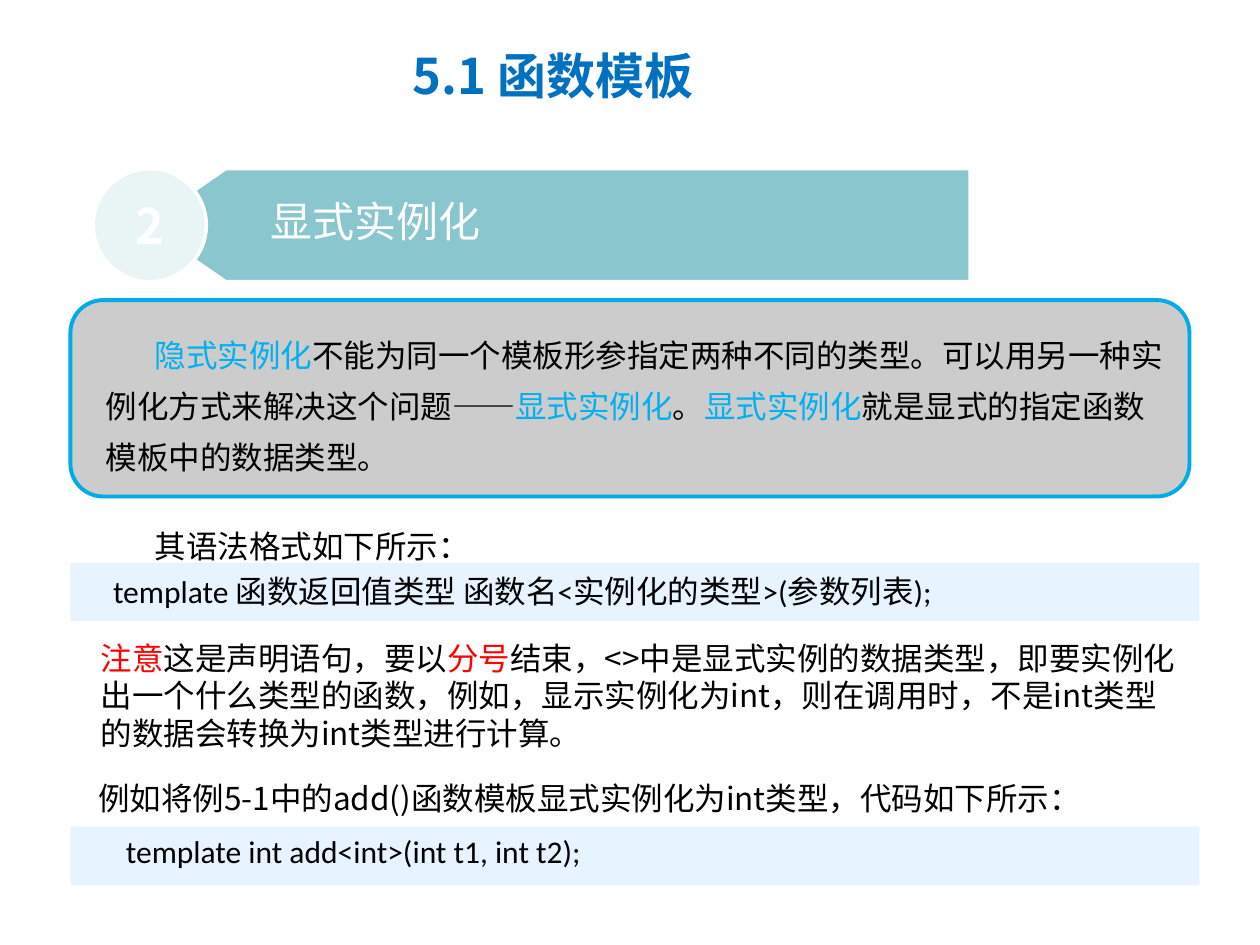
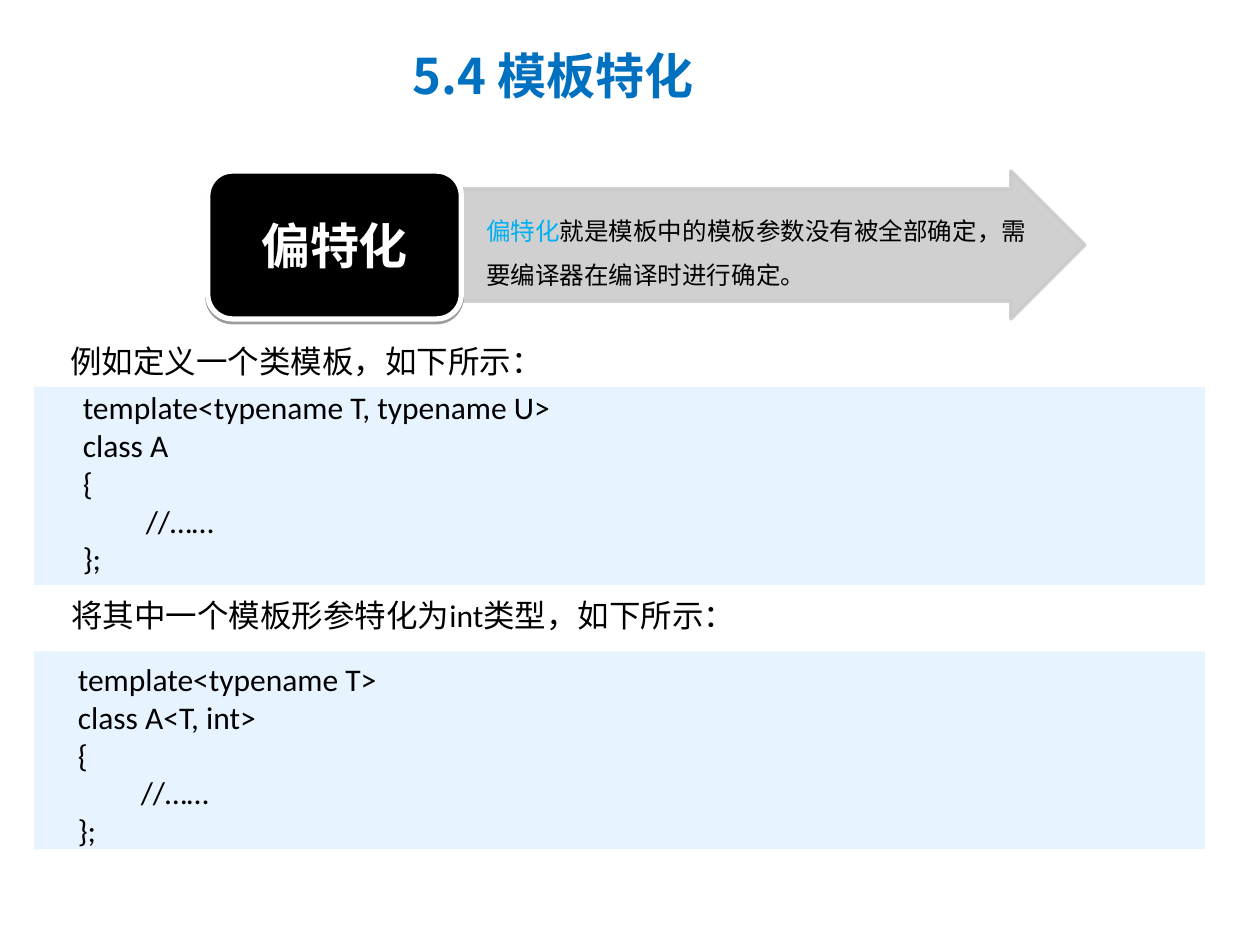
from lxml import etree
from pptx import Presentation
from pptx.dml.color import RGBColor
from pptx.enum.shapes import MSO_SHAPE
from pptx.enum.text import MSO_ANCHOR, PP_ALIGN
from pptx.oxml.ns import qn
from pptx.util import Cm, Pt

RECT, OVAL = MSO_SHAPE.RECTANGLE, MSO_SHAPE.OVAL
ROUND, ARROW = MSO_SHAPE.ROUNDED_RECTANGLE, MSO_SHAPE.RIGHT_ARROW
MIDDLE, TOP = MSO_ANCHOR.MIDDLE, MSO_ANCHOR.TOP
LEFT, CENTER = PP_ALIGN.LEFT, PP_ALIGN.CENTER

SANS, LATIN = "Noto Sans CJK SC", "Calibri"
BLACK, WHITE, RED = "000000", "FFFFFF", "FF0000"
TITLE, CYAN, EDGE = "0070C0", "00B0F0", "00ACE6"
BAND, GREY, SILVER = "E7F4FF", "CCCCCC", "CBCBCB"
TEAL, PALE = "8AC6CD", "E9F4F5"


def rgb(code):
    return RGBColor.from_string(code)


def write(frame, paras, size=18, color=BLACK, font=SANS, bold=False,
          align=LEFT, anchor=TOP, spacing=1, indent=0):
    """Fill a frame; each paragraph is a list of (text, colour) runs."""
    frame.word_wrap = True
    frame.vertical_anchor = anchor
    for i, runs in enumerate(paras):
        para = frame.paragraphs[0] if i == 0 else frame.add_paragraph()
        para.alignment = align
        para.line_spacing = spacing
        if indent:
            para._p.get_or_add_pPr().set("indent", str(Cm(indent)))
        for text, tint in runs:
            run = para.add_run()
            run.text = text
            run.font.size, run.font.bold = Pt(size), bold
            run.font.name = font
            run.font.color.rgb = rgb(tint or color)
            east = etree.SubElement(run._r.get_or_add_rPr(), qn("a:ea"))
            east.set("typeface", SANS)


def plain(text):
    return [[(line, None)] for line in text.split("\n")]


def label(slide, box, paras, **style):
    area = slide.shapes.add_textbox(*map(Cm, box))
    write(area.text_frame, paras, **style)


def paint(shape, fill, line=None, width=2):
    shape.shadow.inherit = False
    shape.fill.solid()
    shape.fill.fore_color.rgb = rgb(fill)
    if line:
        shape.line.color.rgb = rgb(line)
        shape.line.width = Pt(width)
    else:
        shape.line.fill.background()


def block(slide, kind, box, fill, line=None, width=2):
    shape = slide.shapes.add_shape(kind, *map(Cm, box))
    paint(shape, fill, line, width)
    return shape


def fade(color, percent):
    etree.SubElement(color, qn("a:alpha")).set("val", str(percent * 1000))


def start(deck, title):
    slide = deck.slides.add_slide(deck.slide_layouts[6])
    label(slide, (4.6, 0.43, 13.1, 2.16), plain(title), size=28, color=TITLE,
          bold=True, align=CENTER, anchor=MIDDLE)
    return slide


def header(slide, box, number, text):
    """Numbered circle in front of a pointed bar."""
    x, y, w, h = box
    tip, neck = x + 1.02, x + 2.67
    pen = slide.shapes.build_freeform(Cm(x + w), Cm(y + h))
    points = [(neck, y + h), (tip, y + h / 2), (neck, y), (x + w, y)]
    pen.add_line_segments([(Cm(a), Cm(b)) for a, b in points])
    paint(pen.convert_to_shape(), TEAL, WHITE)
    disc = block(slide, OVAL, (x, y, h, h), PALE, WHITE)
    write(disc.text_frame, plain(number), size=28, color=WHITE, bold=True,
          align=CENTER, anchor=MIDDLE)
    label(slide, (x + 3.33, y + 0.41, 6, 1.27), plain(text),
          size=24, color=WHITE)


def callout(slide, box, runs):
    """Grey rounded box with an indented paragraph."""
    x, y, w, h = box
    block(slide, ROUND, box, GREY, EDGE, 2.25)
    label(slide, (x + 0.46, y + 0.33, w - 0.51, h - 0.6), [runs],
          spacing=1.35, indent=0.99)


def listing(slide, box, intro, above, code, inset, **style):
    """Code band with its intro line; above and inset are offsets."""
    x, y, w, h = box
    block(slide, RECT, box, BAND)
    label(slide, (x + above[0], y + above[1], w - above[0], 1.02),
          plain(intro), **style)
    label(slide, (x + inset[0], y + inset[1], w - inset[0], h),
          plain(code), font=LATIN)


def banner(slide, box, term, runs):
    """Black key box followed by an explaining arrow."""
    x, y, w, h = box
    key = 5.11
    arrow = block(slide, ARROW, (x + key, y, w - key, h), SILVER, SILVER)
    arrow.adjustments[0], arrow.adjustments[1] = 0.76, 0.5
    for color in arrow._element.spPr.iter(qn("a:srgbClr")):
        fade(color, 90)
    card = block(slide, ROUND, (x, y, key, h), BLACK, WHITE, 3)
    write(card.text_frame, plain(term), size=28, color=WHITE, bold=True,
          align=CENTER, anchor=MIDDLE)
    # Hard shadow just below the card
    effects = card._element.spPr.find(qn("a:effectLst"))
    drop = etree.SubElement(effects, qn("a:outerShdw"), blurRad="0",
                            dist=str(Pt(1.6)), dir="5400000", rotWithShape="0")
    fade(etree.SubElement(drop, qn("a:srgbClr"), val=BLACK), 38)
    label(slide, (x + key + 0.25, y + 0.49, 11.53, 2.03), [runs],
          size=14, spacing=1.5)


def explicit(deck):
    slide = start(deck, "5.1 函数模板")
    header(slide, (1.88, 3.4, 17.68, 2.28), "2", "显式实例化")
    callout(slide, (1.42, 6.05, 22.56, 3.96), [
        ("隐式实例化", CYAN),
        ("不能为同一个模板形参指定两种不同的类型。可以用另一种实例化方式来解决这个问题——", None),
        ("显式实例化", CYAN), ("。", None), ("显式实例化", CYAN),
        ("就是显式的指定函数模板中的数据类型。", None)])
    listing(slide, (1.42, 11.35, 22.76, 1.17),
            "其语法格式如下所示：", (1.45, -1.11),
            "template 函数返回值类型 函数名<实例化的类型>(参数列表);",
            (0.61, 0.05), spacing=1.35)
    label(slide, (1.78, 12.75, 22.17, 2.54), [[
        ("注意", RED), ("这是声明语句，要以", None), ("分号", RED),
        ("结束，<>中是显式实例的数据类型，即要实例化出一个什么类型的函数，"
         "例如，显示实例化为int，则在调用时，不是int类型的数据会转换为int类型进行计算。", None)]])
    listing(slide, (1.42, 16.66, 22.76, 1.19),
            "例如将例5-1中的add()函数模板显式实例化为int类型，代码如下所示：",
            (0.31, -1.09), "template int add<int>(int t1, int t2);",
            (0.87, -0.02))


def partial(deck):
    slide = start(deck, "5.4 模板特化")
    banner(slide, (4.19, 3.45, 17.68, 2.98), "偏特化", [
        ("偏特化", CYAN),
        ("就是模板中的模板参数没有被全部确定，需要编译器在编译时进行确定。", None)])
    body = "\n{\n\t//……\n};"
    listing(slide, (0.69, 7.8, 23.6, 3.99),
            "例如定义一个类模板，如下所示：", (0.48, -1.02),
            "template<typename T, typename U>\nclass A" + body,
            (0.73, -0.1), font=LATIN)
    listing(slide, (0.69, 13.13, 23.6, 3.99),
            "将其中一个模板形参特化为int类型，如下所示：", (0.5, -1.24),
            "template<typename T>\nclass A<T, int>" + body,
            (0.63, 0.05), font=LATIN)


def main():
    deck = Presentation()
    deck.slide_width, deck.slide_height = Cm(25.4), Cm(19.05)
    explicit(deck)
    partial(deck)
    deck.save("out.pptx")


if __name__ == "__main__":
    main()
